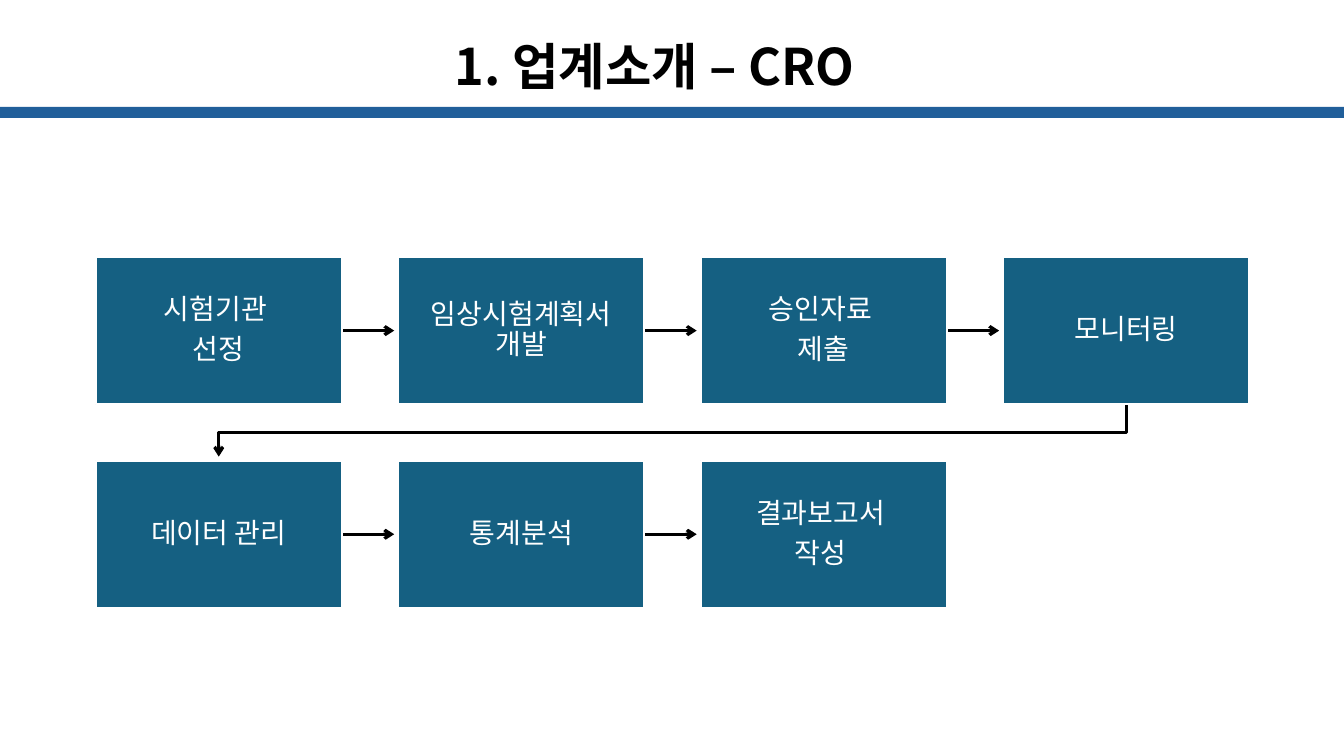
from lxml.etree import SubElement
from pptx import Presentation
from pptx.dml.color import RGBColor
from pptx.enum.shapes import MSO_CONNECTOR as Link, MSO_SHAPE as Shape
from pptx.enum.text import MSO_ANCHOR as Anchor, MSO_AUTO_SIZE as Fit, PP_ALIGN as Align
from pptx.oxml.ns import qn
from pptx.util import Inches, Pt

BLACK = RGBColor(0x00, 0x00, 0x00)
WHITE = RGBColor(0xFF, 0xFF, 0xFF)
BLUE = RGBColor(0x21, 0x5F, 0x9A)
TEAL = RGBColor(0x15, 0x60, 0x82)
FONT = "Noto Sans CJK KR"

STEPS = [
    ["시험기관 \n선정", "임상시험계획서 개발", "승인자료 \n제출", "모니터링"],
    ["데이터 관리", "통계분석", "결과보고서 \n작성 "],
]


class Deck:
    """Holds the style, the flow grid and the current slide."""

    left, top = 0.95, 2.55
    col, row = 3, 2.02
    wide, high = 2.44, 1.46
    gap = 0.04

    def __init__(self):
        self.file = Presentation()
        self.file.slide_width = Inches(13.33)
        self.file.slide_height = Inches(7.5)
        self.slide = self.file.slides.add_slide(self.file.slide_layouts[5])
        self.shapes = self.slide.shapes

    def spot(self, col, row):
        """Return the top left corner of a grid cell in inches."""
        return self.left + col * self.col, self.top + row * self.row

    def style(self, part, size, color, align, space, bold=False):
        """Format one paragraph and its runs."""
        part.alignment = align
        part.line_spacing = space
        for run in part.runs:
            font = run.font
            font.size, font.bold, font.name = Pt(size), bold, FONT
            font.color.rgb = color
            SubElement(font._element, qn("a:ea"), typeface=FONT)

    def title(self, text):
        """Place the slide title."""
        head = self.shapes.title
        head.left, head.top = Inches(4.41), 0
        head.width, head.height = Inches(5.45), Inches(1.8)
        frame = head.text_frame
        frame.text = text
        frame.word_wrap = True
        frame.auto_size = Fit.SHAPE_TO_FIT_TEXT
        frame.vertical_anchor = Anchor.TOP
        self.style(frame.paragraphs[0], 36, BLACK, Align.LEFT, 1.5, True)

    def rect(self, x, y, wide, high, fill):
        """Draw a plain filled rectangle."""
        shape = self.shapes.add_shape(
            Shape.RECTANGLE, Inches(x), Inches(y), Inches(wide), Inches(high))
        shape.shadow.inherit = False
        shape.fill.solid()
        shape.fill.fore_color.rgb = fill
        shape.line.fill.background()
        return shape

    def box(self, col, row, text):
        """Draw one step of the flow."""
        shape = self.rect(*self.spot(col, row), self.wide, self.high, TEAL)
        shape.line.color.rgb = WHITE
        shape.line.width = Pt(1.5)
        frame = shape.text_frame
        frame.text = text
        frame.word_wrap = True
        frame.vertical_anchor = Anchor.MIDDLE
        frame.margin_left = frame.margin_right = Inches(0.16)
        frame.margin_top = frame.margin_bottom = Inches(0.16)
        for part in frame.paragraphs:
            self.style(part, 20, WHITE, Align.CENTER, 0.9)
            part.space_after = Pt(7)
        return shape

    def ink(self, line):
        """Make a line black with an arrowhead at its end."""
        line.color.rgb = BLACK
        line.width = Pt(2.25)
        SubElement(line._get_or_add_ln(), qn("a:tailEnd"), type="arrow")

    def arrow(self, col, row):
        """Draw the arrow from one step to the step on its right."""
        x, y = self.spot(col, row)
        mid = Inches(y + self.high / 2)
        line = self.shapes.add_connector(
            Link.STRAIGHT, Inches(x + self.wide), mid, Inches(x + self.col - self.gap), mid)
        self.ink(line.line)
        SubElement(line._element.spPr, qn("a:effectLst"))
        return line

    def turn(self, last):
        """Draw the bent arrow from the last step of a row to the next row."""
        x, y = self.spot(last, 0)
        end, floor = self.spot(0, 1)
        half, base = self.wide / 2, y + self.high
        bend = (base + floor) / 2
        points = [(x + half, base), (x + half, bend),
                  (end + half, bend), (end + half, floor - self.gap)]
        first, *rest = [(Inches(a), Inches(b)) for a, b in points]
        path = self.shapes.build_freeform(*first)
        path.add_line_segments(rest, close=False)
        shape = path.convert_to_shape()
        shape.shadow.inherit = False
        shape.fill.background()
        self.ink(shape.line)

    def flow(self, rows):
        """Draw all steps with the arrows behind them."""
        self.turn(len(rows[0]) - 1)
        for row, texts in enumerate(rows):
            for col, text in enumerate(texts):
                line = self.arrow(col, row) if col < len(texts) - 1 else None
                step = self.box(col, row, text)
                if line is not None:
                    line.begin_connect(step, 3)


def main():
    """Build and save the slide."""
    deck = Deck()
    deck.rect(0, 1.06, 13.33, 0.11, BLUE)
    deck.title("1. 업계소개 – CRO")
    deck.flow(STEPS)
    deck.file.save("out.pptx")


if __name__ == "__main__":
    main()
